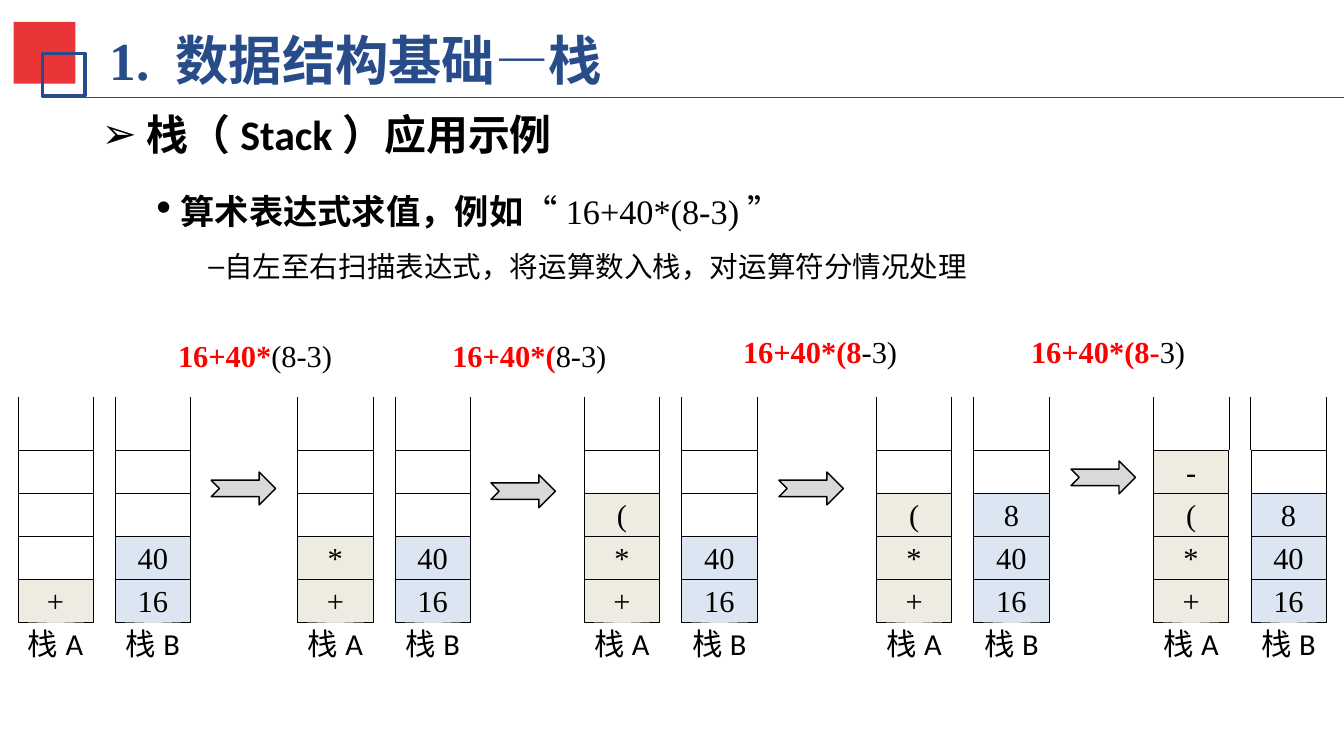
from dataclasses import dataclass
from lxml.etree import SubElement
from pptx import Presentation
from pptx.dml.color import RGBColor
from pptx.enum.shapes import MSO_CONNECTOR, MSO_SHAPE
from pptx.enum.text import MSO_ANCHOR, PP_ALIGN
from pptx.oxml.ns import qn
from pptx.util import Inches, Pt

NAVY = RGBColor(0x28, 0x4C, 0x8A)
CORAL = RGBColor(0xE9, 0x35, 0x38)
RED = RGBColor(0xFF, 0x00, 0x00)
BLACK = RGBColor(0x00, 0x00, 0x00)
GRAY = RGBColor(0xD9, 0xD9, 0xD9)
OPERATOR_FILL = RGBColor(0xEE, 0xEC, 0xE1)
OPERAND_FILL = RGBColor(0xDC, 0xE6, 0xF2)

SERIF, SANS, HEADING = "Times New Roman", "Calibri", "Arial"
COLUMNS, ROWS = 98, 55.1
CELL_WIDTH, CELL_HEIGHT = 5.5, 3.13
WALL_TOP, CELLS_TOP, CELL_COUNT = 28.9, 32.8, 4
LABEL_TOP, LABEL_WIDTH, LABEL_HEIGHT = 45.1, 6.1, 3.7
OPERAND_SHIFT = 7.1

STEPS = [
    (1.3, ["+"], ["16", "40"]),
    (21.7, ["+", "*"], ["16", "40"]),
    (42.6, ["+", "*", "("], ["16", "40"]),
    (63.9, ["+", "*", "("], ["16", "40", "8"]),
    (84.1, ["+", "*", "(", "-"], ["16", "40", "8"]),
]
ARROWS = [(15.4, 34.4), (35.8, 34.6), (56.8, 34.4), (78.1, 33.6)]
EXPRESSIONS = [
    (12, 24.1, "16+40*", "(8-3)"),
    (32, 24.1, "16+40*(", "8-3)"),
    (53.2, 23.8, "16+40*(8", "-3)"),
    (74.2, 23.8, "16+40*(8-", "3)"),
]


@dataclass
class Run:
    text: str
    size: float = 16
    font: str = SERIF
    color: RGBColor = BLACK
    bold: bool = False


class Board:
    def __init__(self, deck):
        self.slide = deck.slides.add_slide(deck.slide_layouts[6])
        self.column = deck.slide_width / COLUMNS
        self.row = deck.slide_height / ROWS

    def place(self, left, top, width, height):
        return (round(left * self.column), round(top * self.row),
                round(width * self.column), round(height * self.row))

    def add_runs(self, paragraph, runs):
        for item in runs:
            run = paragraph.add_run()
            run.text = item.text
            run.font.size = Pt(item.size)
            run.font.name = item.font
            run.font.bold = item.bold
            run.font.color.rgb = item.color

    def shape(self, kind, area, fill=None, line=None, weight=0.25, text=None):
        shape = self.slide.shapes.add_shape(kind, *self.place(*area))
        shape.shadow.inherit = False
        if fill is None:
            shape.fill.background()
        else:
            shape.fill.solid()
            shape.fill.fore_color.rgb = fill
        if line is None:
            shape.line.fill.background()
        else:
            shape.line.color.rgb = line
            shape.line.width = Pt(weight)
        if text:
            shape.text_frame.vertical_anchor = MSO_ANCHOR.MIDDLE
            paragraph = shape.text_frame.paragraphs[0]
            paragraph.alignment = PP_ALIGN.CENTER
            self.add_runs(paragraph, [Run(text)])

    def line(self, start, end, color=BLACK, weight=0.25):
        x1, y1, x2, y2 = self.place(*start, *end)
        line = self.slide.shapes.add_connector(MSO_CONNECTOR.STRAIGHT, x1, y1, x2, y2)
        line.line.color.rgb = color
        line.line.width = Pt(weight)
        SubElement(line._element.spPr, qn("a:effectLst"))

    def text(self, area, runs=(), align=PP_ALIGN.LEFT, wrap=True, side=0.1, edge=0.05):
        frame = self.slide.shapes.add_textbox(*self.place(*area)).text_frame
        frame.word_wrap = wrap
        frame.margin_left = frame.margin_right = Inches(side)
        frame.margin_top = frame.margin_bottom = Inches(edge)
        frame.paragraphs[0].alignment = align
        self.add_runs(frame.paragraphs[0], runs)
        return frame

    def bullet(self, paragraph, char, runs, margin, indent=0, spacing=1.0, level=0):
        paragraph.level = level
        paragraph.line_spacing = spacing
        paragraph.space_before = Pt(runs[0].size * 0.2)
        properties = paragraph._p.get_or_add_pPr()
        properties.set("marL", str(Inches(margin)))
        properties.set("indent", str(Inches(indent)))
        SubElement(properties, qn("a:buFont"), typeface=HEADING)
        SubElement(properties, qn("a:buChar"), char=char)
        self.add_runs(paragraph, runs)

    def stack(self, left, name, values, fill):
        for wall in (left, left + CELL_WIDTH):
            self.line((wall, WALL_TOP), (wall, CELLS_TOP))
        for level in range(CELL_COUNT):
            filled = level < len(values)
            top = CELLS_TOP + (CELL_COUNT - 1 - level) * CELL_HEIGHT
            self.shape(MSO_SHAPE.RECTANGLE, (left, top, CELL_WIDTH, CELL_HEIGHT),
                       fill if filled else None, BLACK,
                       text=values[level] if filled else None)
        label_left = left - (LABEL_WIDTH - CELL_WIDTH) / 2
        self.text((label_left, LABEL_TOP, LABEL_WIDTH, LABEL_HEIGHT),
                  [Run(name, font=SANS)], PP_ALIGN.CENTER, side=0)


def main():
    deck = Presentation()
    deck.slide_width, deck.slide_height = Inches(9.8), Inches(5.51)
    board = Board(deck)

    board.text((7.3, 1.6, 69.1, 5.5),
               [Run("1. ", 28, SERIF, NAVY, True),
                Run("数据结构基础—栈", 28, HEADING, NAVY, True)], side=0.07, edge=0.04)
    board.shape(MSO_SHAPE.RECTANGLE, (1, 1.6, 4.5, 4.5), CORAL)
    board.shape(MSO_SHAPE.RECTANGLE, (3.1, 3.9, 3.1, 3.1), line=NAVY, weight=2)
    board.line((3.8, 7.1), (COLUMNS, 7.1), NAVY, 0.75)

    outline = board.text((6.5, 7.5, 85.9, 16.1), side=0.09, edge=0.04)
    board.bullet(outline.paragraphs[0], "➢",
                 [Run("栈（Stack）应用示例", 22, SANS, bold=True)], 0.33, -0.33)
    board.bullet(outline.add_paragraph(), "•",
                 [Run(" ", 22, SANS, bold=True),
                  Run("算术表达式求值，例如", 18, SANS, bold=True),
                  Run("“", 18, SANS), Run("16+40*(8-3)", 18), Run("”", 18, SANS)],
                 0.4, spacing=1.3)
    board.bullet(outline.add_paragraph(), "–",
                 [Run("自左至右扫描表达式，将运算数入栈，对运算符分情况处理", 15, SANS)],
                 0.78, spacing=1.3, level=1)

    for left, operators, operands in STEPS:
        board.stack(left, "栈A", operators, OPERATOR_FILL)
        board.stack(left + OPERAND_SHIFT, "栈B", operands, OPERAND_FILL)
    for left, top in ARROWS:
        board.shape(MSO_SHAPE.NOTCHED_RIGHT_ARROW, (left, top, 4.7, 2.4), GRAY, BLACK, 0.75)
    for left, top, scanned, remaining in EXPRESSIONS:
        board.text((left, top, 13.4, 3.7),
                   [Run(scanned, color=RED, bold=True), Run(remaining)], wrap=False)

    deck.save("out.pptx")


if __name__ == "__main__":
    main()
